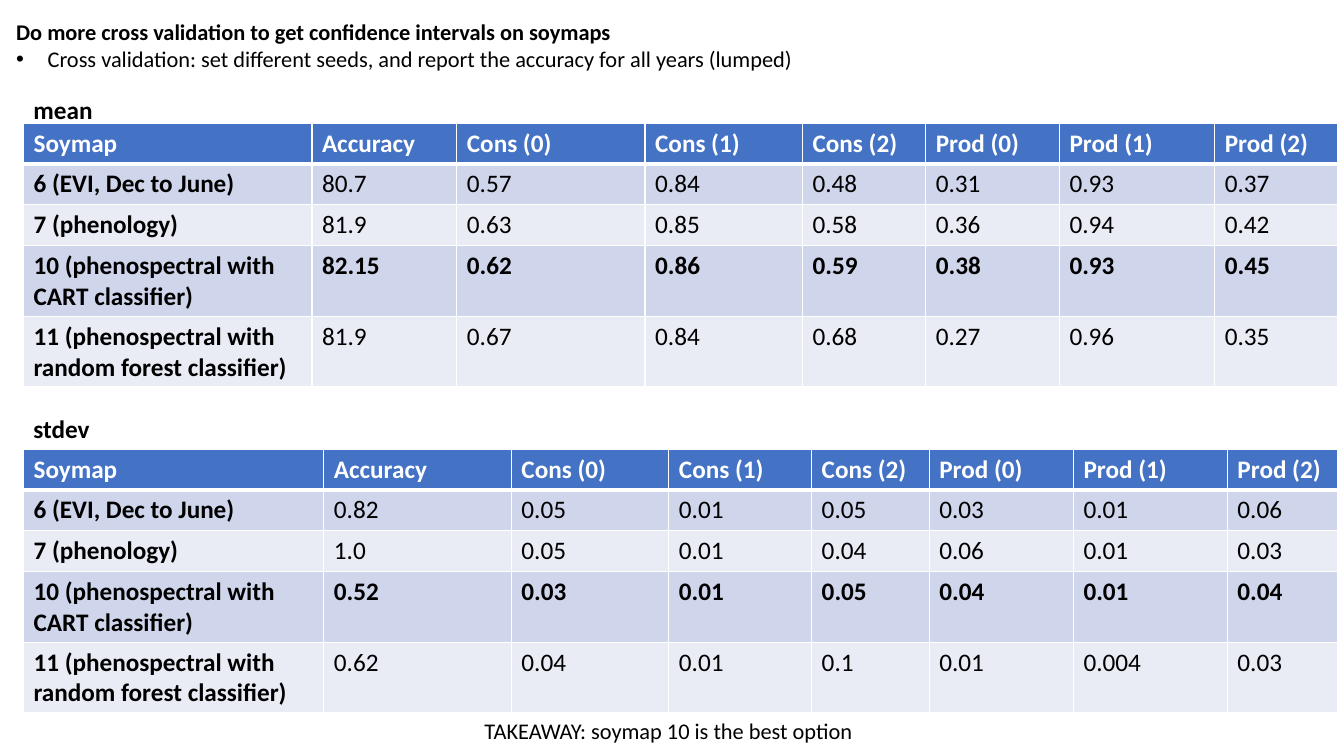
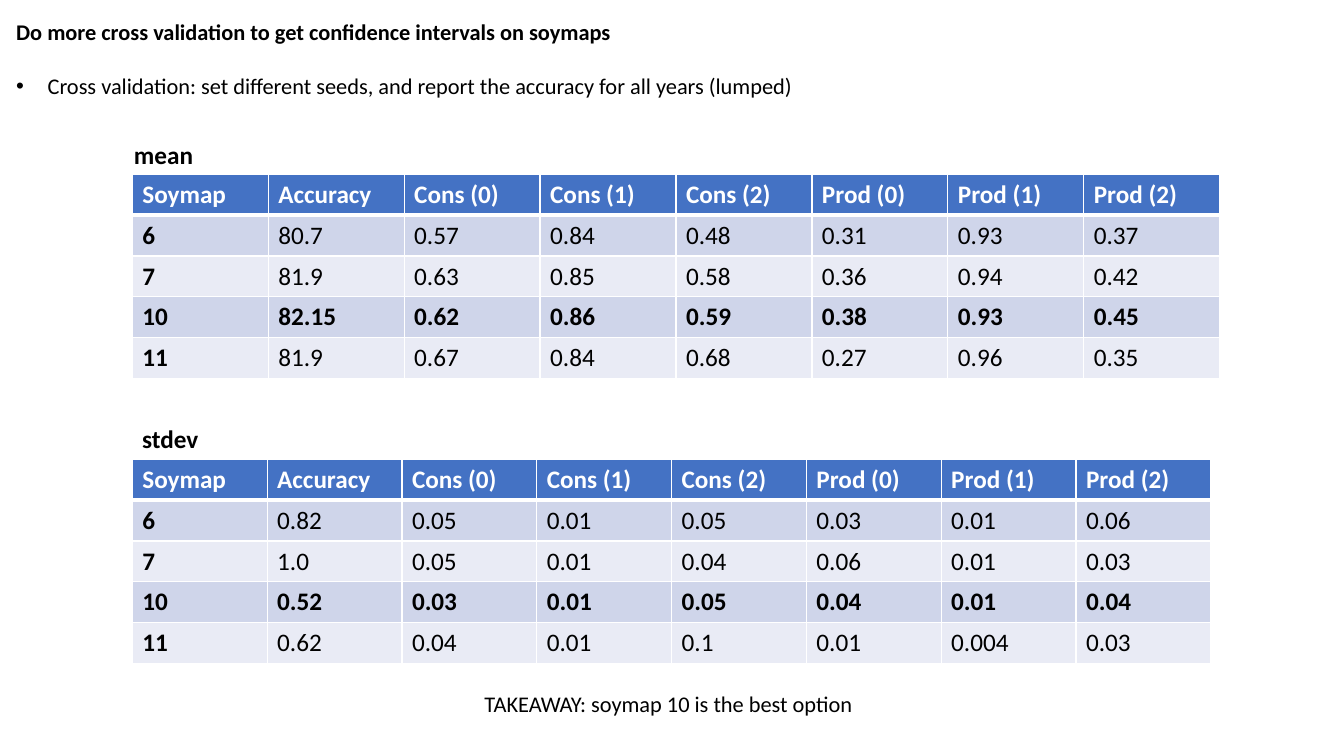
from pptx import Presentation
from pptx.dml.color import RGBColor as Rgb
from pptx.enum.text import MSO_AUTO_SIZE as Fit
from pptx.oxml.ns import qn
from pptx.util import Pt
from lxml.etree import SubElement as Sub

COLORS = {"head": "4472C4", "odd": "CFD5EA", "even": "E9EBF5",
          "text": "000000", "white": "FFFFFF"}
HEADS = ["Soymap", "Accuracy", "Cons (0)", "Cons (1)", "Cons (2)",
         "Prod (0)", "Prod (1)", "Prod (2)"]
MEAN = {
    "6": ["80.7", "0.57", "0.84", "0.48", "0.31", "0.93", "0.37"],
    "7": ["81.9", "0.63", "0.85", "0.58", "0.36", "0.94", "0.42"],
    "10": ["82.15", "0.62", "0.86", "0.59", "0.38", "0.93", "0.45"],
    "11": ["81.9", "0.67", "0.84", "0.68", "0.27", "0.96", "0.35"],
}
STDEV = {
    "6": ["0.82", "0.05", "0.01", "0.05", "0.03", "0.01", "0.06"],
    "7": ["1.0", "0.05", "0.01", "0.04", "0.06", "0.01", "0.03"],
    "10": ["0.52", "0.03", "0.01", "0.05", "0.04", "0.01", "0.04"],
    "11": ["0.62", "0.04", "0.01", "0.1", "0.01", "0.004", "0.03"],
}
NAMES = {
    "6": "6 (EVI, Dec to June)",
    "7": "7 (phenology)",
    "10": "10 (phenospectral with CART classifier)",
    "11": "11 (phenospectral with random forest classifier)",
}
BEST = "10"
LONG = 25  # a longer name takes two lines


class Deck:
    font = "Calibri"
    body, large = 16, 18
    head_row, row, tall_row = 27.6, 29.2, 50.4

    def __init__(self):
        self.prs = Presentation()
        self.prs.slide_width, self.prs.slide_height = Pt(960), Pt(540)
        self.slide = None

    def add_slide(self):
        self.slide = self.prs.slides.add_slide(self.prs.slide_layouts[6])

    def style(self, par, size, bold=False, color="text"):
        for run in par.runs:
            font = run.font
            font.name, font.size, font.bold = self.font, Pt(size), bold
            font.color.rgb = Rgb.from_string(COLORS[color])

    def text(self, text, left, top, width, height, size, bold=False):
        box = self.slide.shapes.add_textbox(
            Pt(left), Pt(top), Pt(width), Pt(height))
        frame = box.text_frame
        frame.word_wrap = True
        frame.auto_size = Fit.SHAPE_TO_FIT_TEXT
        frame.text = text
        self.style(frame.paragraphs[0], size, bold)
        return frame

    def intro(self, height, gap):
        """Add the bold heading and its bullet, set apart by gap."""
        frame = self.text(
            "Do more cross validation to get confidence intervals on soymaps",
            4.5, 9.5, 952, height, self.body, True)
        par = frame.add_paragraph()
        par.text = ("Cross validation: set different seeds, and report "
                    "the accuracy for all years (lumped)")
        par.space_before = Pt(gap)
        props = par._p.get_or_add_pPr()
        props.set("marL", str(Pt(22.5)))
        props.set("indent", str(Pt(-22.5)))
        Sub(props, qn("a:buFont"), typeface="Arial")
        Sub(props, qn("a:buChar"), char="•")
        self.style(par, self.body)

    def label(self, text, left, top):
        self.text(text, left, top, 97, 29, self.large, True)

    def takeaway(self, top):
        self.text("TAKEAWAY: soymap 10 is the best option",
                  339, top, 282, 26.5, self.body)

    def border(self, cell, top, bottom):
        props = cell._tc.get_or_add_tcPr()
        for side, width in zip("LRTB", (1, 1, top, bottom)):
            line = Sub(props, qn(f"a:ln{side}"), w=str(Pt(width)))
            fill = Sub(line, qn("a:solidFill"))
            Sub(fill, qn("a:srgbClr"), val=COLORS["white"])

    def cell(self, cell, text, fill, bold, color="text", top=1, bottom=1):
        cell.text = text
        self.style(cell.text_frame.paragraphs[0], self.large, bold, color)
        self.border(cell, top, bottom)
        cell.fill.solid()
        cell.fill.fore_color.rgb = Rgb.from_string(COLORS[fill])

    def table(self, data, names, left, top, widths):
        names = [names.get(key, key) for key in data]
        rows = [self.head_row] + [
            self.tall_row if len(name) > LONG else self.row for name in names]
        grid = self.slide.shapes.add_table(
            len(rows), len(HEADS), Pt(left), Pt(top),
            Pt(sum(widths)), Pt(sum(rows))).table
        for col, width in zip(grid.columns, widths):
            col.width = Pt(width)
        for row, height in zip(grid.rows, rows):
            row.height = Pt(height)
        for c, head in enumerate(HEADS):
            self.cell(grid.cell(0, c), head, "head", True, "white", bottom=3)
        for r, (key, name) in enumerate(zip(data, names), 1):
            fill = "odd" if r % 2 else "even"
            for c, text in enumerate([name] + data[key]):
                self.cell(grid.cell(r, c), text, fill, c == 0 or key == BEST,
                          top=3 if r == 1 else 1)


def main():
    deck = Deck()

    deck.add_slide()
    deck.intro(46, 0)
    deck.table(MEAN, NAMES, 16.8, 88.2,
               [206, 103.5, 134.5, 112.5, 88, 95.5, 111, 88])
    deck.label("mean", 16.8, 63.5)
    deck.table(STDEV, NAMES, 16.8, 321,
               [214.5, 134, 112.5, 102, 84, 103, 110, 79])
    deck.label("stdev", 16.8, 291.5)
    deck.takeaway(509)

    deck.add_slide()
    deck.intro(65.5, 19.5)
    deck.table(MEAN, {}, 94.5, 124.8, [97.1] * len(HEADS))
    deck.label("mean", 88.6, 95.8)
    deck.table(STDEV, {}, 94.5, 328.4, [96.3] * len(HEADS))
    deck.label("stdev", 94.5, 299)
    deck.takeaway(489.6)

    deck.prs.save("out.pptx")


if __name__ == "__main__":
    main()
